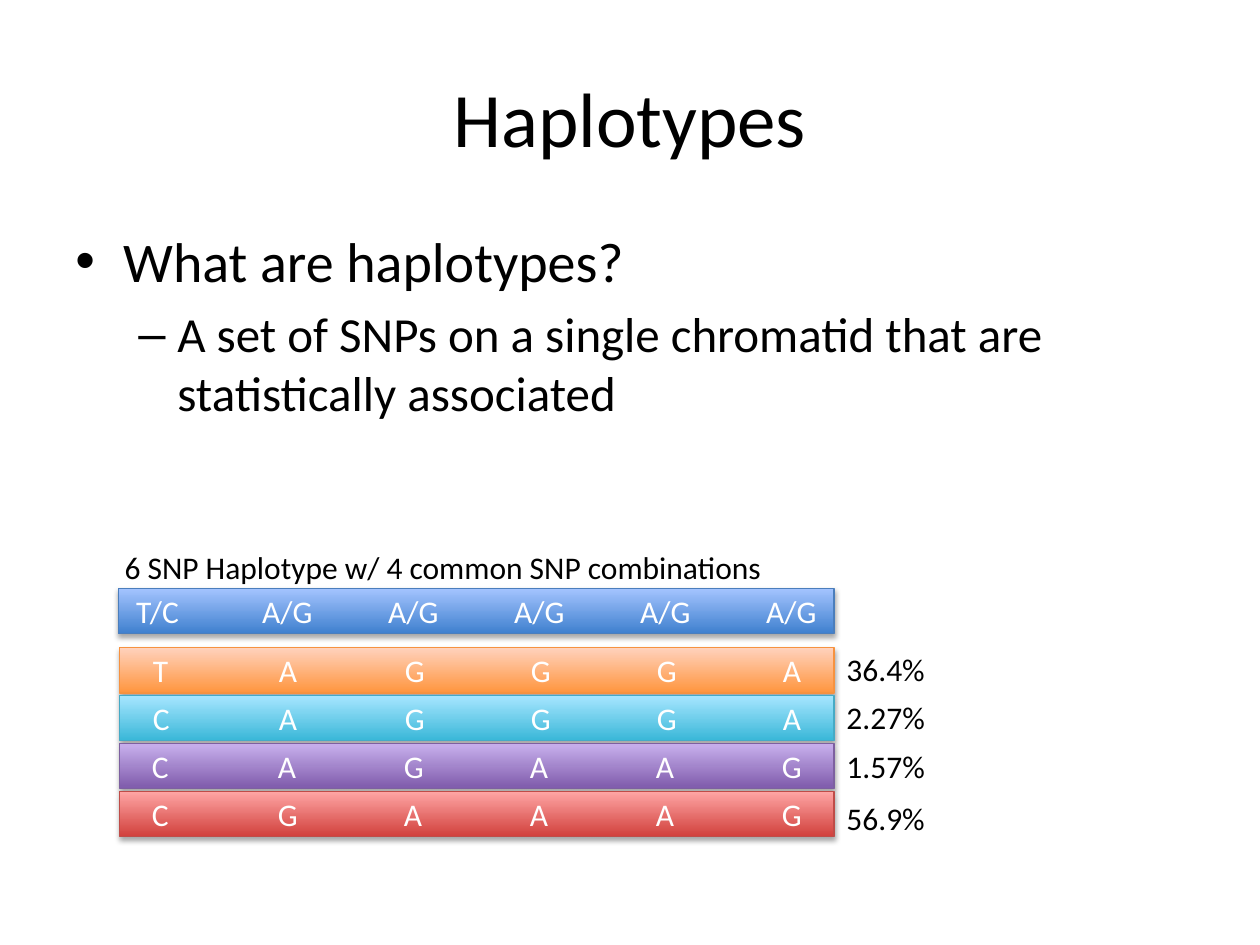
import pptx
import pptx.dml.color
import pptx.enum.shapes
import pptx.enum.text
import pptx.oxml.ns
import pptx.util
from lxml import etree

Inches = pptx.util.Inches
Pt = pptx.util.Pt
ALIGN = pptx.enum.text.PP_ALIGN
ANCHOR = pptx.enum.text.MSO_ANCHOR

# Each band has a dark base, a light top and an outline.
COLORS = {
    "text": "000000",
    "band_text": "FFFFFF",
    "shadow": "000000",
    "blue": ("3F80CE", "A4C4FF", "4B7EBC"),
    "orange": ("FF953E", "FFD2BD", "F69240"),
    "cyan": ("39B7D8", "A7E6FF", "46AAC5"),
    "purple": ("7F5BAB", "C8B0ED", "7D60A0"),
    "red": ("D1403C", "FFA6A5", "BF4C48"),
}

SNP_SITES = ["T/C", "A/G", "A/G", "A/G", "A/G", "A/G"]
# Alleles, frequency, top of the frequency label, color
HAPLOTYPES = [
    ("TAGGGA", "36.4%", 5.11, "orange"),
    ("CAGGGA", "2.27%", 5.49, "cyan"),
    ("CAGAAG", "1.57%", 5.88, "purple"),
    ("CGAAAG", "56.9%", 6.29, "red"),
]
FIRST_ROW_TOP = 5.14
ROW_PITCH = 0.38
TAB_STEP = 0.5


def rgb(value):
    return pptx.dml.color.RGBColor.from_string(value)


def add_element(parent, tag, **attributes):
    values = {name: str(value) for name, value in attributes.items()}
    return etree.SubElement(parent, pptx.oxml.ns.qn(tag), values)


class SlideBuilder:
    font = "Calibri"

    def __init__(self, slide):
        self.slide = slide

    def add_run(self, para, text, size, color="text"):
        span = para.add_run()
        span.text = text
        span.font.name = self.font
        span.font.size = Pt(size)
        span.font.color.rgb = rgb(COLORS[color])

    def text_box(self, left, top, width, height):
        box = self.slide.shapes.add_textbox(
            Inches(left), Inches(top), Inches(width), Inches(height))
        box.text_frame.word_wrap = True
        return box.text_frame

    def title(self, text):
        frame = self.text_box(0.5, 0.3, 9, 1.25)
        frame.vertical_anchor = ANCHOR.MIDDLE
        para = frame.paragraphs[0]
        para.alignment = ALIGN.CENTER
        self.add_run(para, text, 44)

    def bullet(self, para, text, mark, level, size, margin, indent):
        para.level = level
        properties = para._p.get_or_add_pPr()
        properties.set("marL", str(Inches(margin)))
        properties.set("indent", str(Inches(indent)))
        add_element(properties, "a:buFont", typeface="Arial")
        add_element(properties, "a:buChar", char=mark)
        self.add_run(para, text, size)

    def body(self, question, answer):
        frame = self.text_box(0.5, 1.75, 9, 4.95)
        self.bullet(frame.paragraphs[0], question, "•", 0, 32, 0.38, -0.38)
        para = frame.add_paragraph()
        para.space_before = Pt(5.6)
        self.bullet(para, answer, "–", 1, 28, 0.81, -0.31)

    def label(self, text, left, top, width):
        frame = self.text_box(left, top, width, 0.4)
        frame.word_wrap = False
        frame.auto_size = pptx.enum.text.MSO_AUTO_SIZE.SHAPE_TO_FIT_TEXT
        self.add_run(frame.paragraphs[0], text, 18)

    def band(self, alleles, left, top, width, color):
        """Draw a shaded bar with one allele per inch, two tab stops apart."""
        base, light, outline = COLORS[color]
        bar = self.slide.shapes.add_shape(
            pptx.enum.shapes.MSO_SHAPE.RECTANGLE,
            Inches(left), Inches(top), Inches(width), Inches(0.36))
        bar.fill.gradient()
        bar.fill.gradient_angle = 90
        for stop, value in zip(bar.fill.gradient_stops, (base, light)):
            stop.color.rgb = rgb(value)
        bar.line.color.rgb = rgb(outline)
        bar.line.width = Pt(0.75)
        self.drop_shadow(bar)

        frame = bar.text_frame
        frame.vertical_anchor = ANCHOR.MIDDLE
        para = frame.paragraphs[0]
        para.alignment = ALIGN.CENTER
        tabs = add_element(para._p.get_or_add_pPr(), "a:tabLst")
        for step in range(1, 2 * len(alleles)):
            add_element(tabs, "a:tab", pos=Inches(step * TAB_STEP), algn="l")
        self.add_run(para, "\t\t".join(alleles), 18, "band_text")

    def drop_shadow(self, shape):
        shape.shadow.inherit = False
        effects = shape._element.spPr.find(pptx.oxml.ns.qn("a:effectLst"))
        shadow = add_element(effects, "a:outerShdw", blurRad=Pt(3.1),
                             dist=Pt(1.8), dir=90 * 60000, rotWithShape=0)
        color = add_element(shadow, "a:srgbClr", val=COLORS["shadow"])
        add_element(color, "a:alpha", val=35000)


def main():
    deck = pptx.Presentation()
    deck.slide_width = Inches(10)
    deck.slide_height = Inches(7.5)
    page = SlideBuilder(deck.slides.add_slide(deck.slide_layouts[6]))

    page.title("Haplotypes")
    page.body("What are haplotypes?",
              "A set of SNPs on a single chromatid that are "
              "statistically associated")
    page.band(SNP_SITES, 0.94, 4.67, 5.68, "blue")
    page.label("6 SNP Haplotype w/ 4 common SNP combinations", 0.89, 4.3, 5.31)
    for row, (alleles, share, label_top, color) in enumerate(HAPLOTYPES):
        page.band(alleles, 0.95, FIRST_ROW_TOP + row * ROW_PITCH, 5.67, color)
        page.label(share, 6.62, label_top, 0.83)

    deck.save("out.pptx")


if __name__ == "__main__":
    main()
